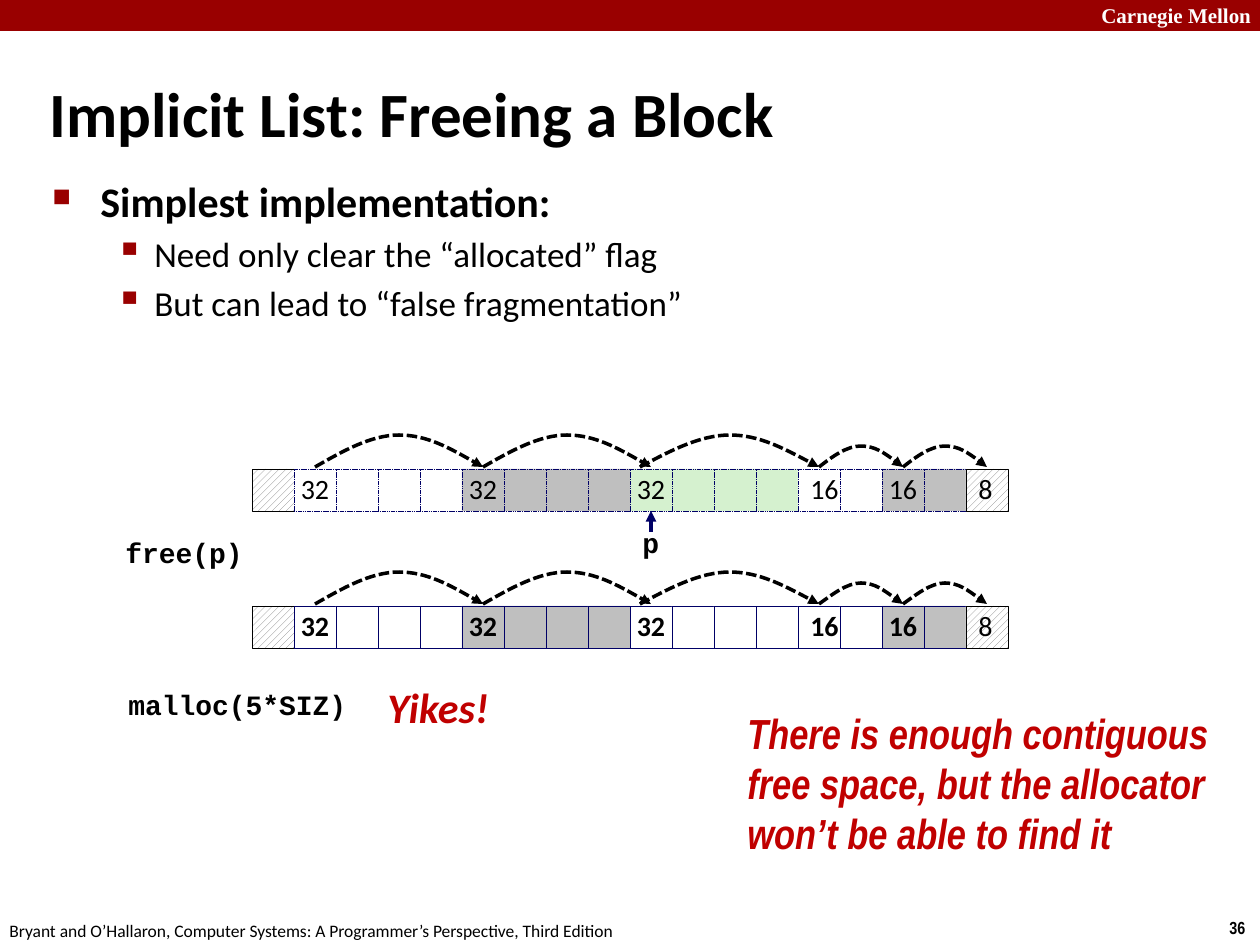
from lxml import etree
from pptx import Presentation
from pptx.dml.color import RGBColor
from pptx.enum.dml import MSO_LINE, MSO_PATTERN
from pptx.enum.shapes import MSO_CONNECTOR, MSO_SHAPE
from pptx.enum.text import MSO_ANCHOR, PP_ALIGN
from pptx.oxml.ns import qn
from pptx.util import Emu, Pt

RECTANGLE, STRAIGHT = MSO_SHAPE.RECTANGLE, MSO_CONNECTOR.STRAIGHT
DASHED, HATCH = MSO_LINE.SQUARE_DOT, MSO_PATTERN.WIDE_UPWARD_DIAGONAL
TOP, MIDDLE = MSO_ANCHOR.TOP, MSO_ANCHOR.MIDDLE
LEFT, CENTER = PP_ALIGN.LEFT, PP_ALIGN.CENTER
PX = 914400 // 126

BLACK, WHITE, CRIMSON, RED, NAVY = "000000", "FFFFFF", "990000", "C00000", "000066"
GRAY, SILVER, GREEN, HATCH_GRAY = "BFBFBF", "C0C0C0", "D5F1CF", "808080"

# Texts: lines, (left, top, width, height), font, size, colour, style, line spacing, wrap, anchor
TEXTS = [
    (["Carnegie Mellon"], (1089, -4, 180, 38), "Times New Roman", 12, WHITE, "b", 1, True, TOP),
    (["36"], (1217, 911, 43, 34), "Arial Narrow", 10, BLACK, "b", 1, False, TOP),
    (["Bryant and O’Hallaron, Computer Systems: A Programmer’s Perspective, Third Edition"],
     (-3, 914, 640, 34), "Calibri", 10, BLACK, "", 1, False, TOP),
    (["Implicit List: Freeing a Block"], (37, 73, 993, 79), "Calibri", 36, BLACK, "b", 1, True, MIDDLE),
    (["free(p)"], (113, 532, 144, 45), "Courier New", 16, BLACK, "b", 0.94, False, TOP),
    (["p"], (630, 522, 42, 45), "Courier New", 16, BLACK, "b", 0.94, False, TOP),
    (["malloc(5*SIZ)"], (116, 684, 246, 45), "Courier New", 16, BLACK, "b", 0.94, False, TOP),
    (["Yikes!"], (375, 674, 127, 66), "Calibri", 24, RED, "bi", 1.02, True, TOP),
    (["There is enough contiguous", "free space, but the allocator\vwon’t be able to find it"],
     (735, 701, 518, 204), "Arial Narrow", 24, RED, "bi", 1, False, TOP),
]

# Bullets: text, level
BULLETS = [
    ("Simplest implementation:", 0),
    ("Need only clear the “allocated” flag", 1),
    ("But can lead to “false fragmentation”", 1),
]
# Level: size, bold, text indent, hanging indent, bullet sign, bullet size in %
LEVELS = [(24, True, 48, 48, "■", 60), (20, False, 102, 39, "▪", 110)]

# Heap blocks: cells, label, alignment, fill before free(p), fill after; None is hatched
BLOCKS = [
    (1, "", LEFT, None, None),
    (4, "32", CENTER, WHITE, WHITE),
    (4, "32", CENTER, GRAY, GRAY),
    (4, "32", CENTER, GREEN, WHITE),
    (2, "16", LEFT, WHITE, WHITE),
    (2, "16", CENTER, SILVER, SILVER),
    (1, "8", LEFT, None, None),
]
FREED = 3
HEAP_LEFT, CELL = 252, 42
HEAP_TOPS = [469, 606]


def color(value):
    return RGBColor.from_string(value)


def px(*values):
    return [Emu(value * PX) for value in values]


def style_runs(para, font, size, ink, bold=False, italic=False):
    for span in para.runs:
        span.font.name, span.font.size = font, Pt(size)
        span.font.bold, span.font.italic = bold, italic
        span.font.color.rgb = color(ink)


def style_line(shape, ink, width, dashed=False, arrow=False):
    shape.line.color.rgb = color(ink)
    shape.line.width = Pt(width)
    if dashed:
        shape.line.dash_style = DASHED
    if arrow:
        etree.SubElement(shape.line._get_or_add_ln(), qn("a:tailEnd"), type="triangle")


def add_text(page, lines, area, font, size, ink, style, spacing, wrap, anchor):
    frame = page.shapes.add_textbox(*px(*area)).text_frame
    frame.word_wrap, frame.vertical_anchor = wrap, anchor
    frame.text = "\n".join(lines)
    for para in frame.paragraphs:
        para.line_spacing = spacing
        style_runs(para, font, size, ink, "b" in style, "i" in style)


def add_bullets(page):
    frame = page.shapes.add_textbox(*px(40, 169, 1145, 598)).text_frame
    frame.word_wrap = True
    frame.text = "\n".join(text for text, _ in BULLETS)
    for index, (para, (_, level)) in enumerate(zip(frame.paragraphs, BULLETS)):
        size, bold, indent, hanging, sign, percent = LEVELS[level]
        para.level = level
        if index:
            para.space_before = Pt(size * 0.2)
        props = para._p.get_or_add_pPr()
        props.set("marL", str(indent * PX))
        props.set("indent", str(-hanging * PX))
        bullet_color = etree.SubElement(props, qn("a:buClr"))
        etree.SubElement(bullet_color, qn("a:srgbClr"), val=CRIMSON)
        etree.SubElement(props, qn("a:buSzPct"), val=str(percent * 1000))
        etree.SubElement(props, qn("a:buChar"), char=sign)
        style_runs(para, "Calibri", size, BLACK, bold)


def add_rectangle(page, area, fill):
    shape = page.shapes.add_shape(RECTANGLE, *px(*area))
    shape.shadow.inherit = False
    if fill:
        shape.fill.solid()
        shape.fill.fore_color.rgb = color(fill)
    else:
        shape.fill.patterned()
        shape.fill.pattern = HATCH
        shape.fill.fore_color.rgb = color(HATCH_GRAY)
        shape.fill.back_color.rgb = color(WHITE)
    return shape


def add_cell(page, left, top, fill, label, align, after):
    cell = add_rectangle(page, (left, top, CELL, CELL), fill)
    style_line(cell, NAVY if fill else BLACK, 0.25, dashed=bool(fill) and not after)
    if label:
        frame = cell.text_frame
        frame.word_wrap, frame.vertical_anchor = False, MIDDLE
        frame.text = label
        para = frame.paragraphs[0]
        para.alignment = align
        para.line_spacing = 0.98
        style_runs(para, "Calibri", 16, BLACK, bold=after and bool(fill))
    return cell


def add_arc(page, start, end, base, height):
    """Two cubic curves that meet at the top of the arc."""
    step = (end - start) / 6
    rises = [0, 0.5, 1, 1, 1, 0.5, 0]
    points = [(start + step * i, base - height * rise) for i, rise in enumerate(rises)]
    builder = page.shapes.build_freeform(*points[0], scale=PX)
    builder.add_line_segments(points[1:], close=False)
    arc = builder.convert_to_shape()
    segments = list(arc._element.iter(qn("a:lnTo")))
    outline = segments[0].getparent()
    for first in (0, 3):
        curve = etree.SubElement(outline, qn("a:cubicBezTo"))
        for segment in segments[first:first + 3]:
            curve.append(segment[0])
            outline.remove(segment)
    arc.shadow.inherit = False
    arc.fill.background()
    style_line(arc, BLACK, 2, dashed=True, arrow=True)


def add_heap(page, top, after):
    heads, left = [], HEAP_LEFT
    for count, label, align, before_fill, after_fill in BLOCKS:
        fill = after_fill if after else before_fill
        for i in range(count):
            cell = add_cell(page, left + i * CELL, top, fill, "" if i else label, align, after)
            if i == 0:
                heads.append(cell)
        left += count * CELL

    # Arcs from each block head to the next
    centers = [head.left // PX + CELL // 2 for head in heads]
    for i in range(1, len(BLOCKS) - 1):
        start = centers[i] - (11 if i == FREED else 0)
        add_arc(page, start, centers[i + 1], top - 2, 32 if BLOCKS[i][0] == 4 else 21)
    return heads


def main():
    deck = Presentation()
    deck.slide_width, deck.slide_height = px(1260, 945)
    page = deck.slides.add_slide(deck.slide_layouts[6])

    # Top band and texts
    band = add_rectangle(page, (0, 0, 1260, 31), CRIMSON)
    band.line.fill.background()
    for text in TEXTS:
        add_text(page, *text)
    add_bullets(page)

    # Heap before and after free(p)
    before, _ = [add_heap(page, top, bool(i)) for i, top in enumerate(HEAP_TOPS)]

    # Pointer p
    center, bottom = HEAP_LEFT + 9 * CELL + CELL // 2, HEAP_TOPS[0] + CELL
    pointer = page.shapes.add_connector(STRAIGHT, *px(center, bottom + 21, center, bottom))
    pointer.end_connect(before[FREED], 2)
    style_line(pointer, NAVY, 2, arrow=True)
    etree.SubElement(pointer._element.spPr, qn("a:effectLst"))

    deck.save("out.pptx")


if __name__ == "__main__":
    main()
